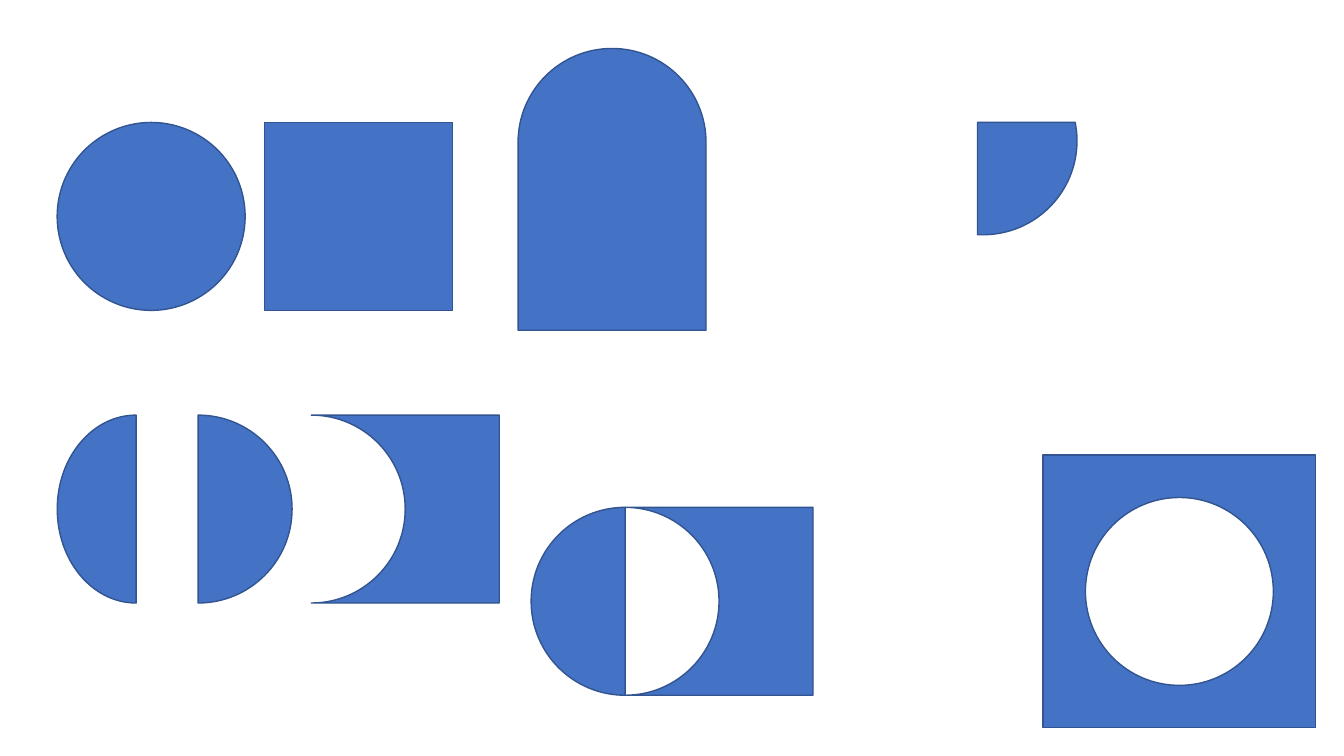
import math

from pptx import Presentation
from pptx import util as u
from pptx.dml.color import RGBColor
from pptx.enum import shapes
from pptx.oxml import ns, xmlchemy

COLORS = {"fill": "4472C4", "line": "325491"}
ROWS = 75  # square grid cells over the slide height
RADIUS = 9.32
SIDE = 2 * RADIUS


def arc(center, start, end, radius_x=RADIUS):
    """Start point, then one Bezier curve of three points for each quarter turn.

    Angles are in degrees, clockwise from the right; lengths are in grid cells.
    """
    def place(x, y):
        return center[0] + radius_x * x, center[1] + RADIUS * y

    count = math.ceil(abs(end - start) / 90)
    step = math.radians((end - start) / count)
    handle = 4 / 3 * math.tan(step / 4)
    angle = math.radians(start)
    steps = [[place(math.cos(angle), math.sin(angle))]]
    for _ in range(count):
        c, s = math.cos(angle), math.sin(angle)
        angle += step
        d, t = math.cos(angle), math.sin(angle)
        steps.append([place(c - handle * s, s + handle * c),
                      place(d + handle * t, t - handle * d), place(d, t)])
    return steps


def corners(*points):
    return [[point] for point in points]


def square(left, top, side):
    return corners((left, top), (left + side, top),
                   (left + side, top + side), (left, top + side))


def left_half(center, radius_x=RADIUS):
    return corners((center[0], center[1] - RADIUS)) + arc(center, 90, 270, radius_x)


def right_half(center):
    return arc(center, -90, 90) + corners((center[0], center[1] - RADIUS))


def bitten_square(center):
    """Square that starts at the center, with the right half of the circle cut out."""
    x, y = center
    return square(x, y - RADIUS, SIDE)[:3] + arc(center, 90, -90)


class ShapeSlide:
    def __init__(self, presentation):
        self.slide = presentation.slides.add_slide(presentation.slide_layouts[6])
        self.cell = presentation.slide_height / ROWS

    def length(self, cells):
        return u.Emu(round(cells * self.cell))

    def style(self, shape):
        shape.shadow.inherit = False
        shape.fill.solid()
        shape.fill.fore_color.rgb = RGBColor.from_string(COLORS["fill"])
        shape.line.color.rgb = RGBColor.from_string(COLORS["line"])
        shape.line.width = u.Pt(1)

    def preset(self, kind, left, top):
        box = [self.length(v) for v in (left, top, SIDE, SIDE)]
        self.style(self.slide.shapes.add_shape(kind, *box))

    def outline(self, *contours):
        """Draw one freeform made of closed contours; an inner contour is a hole."""
        builder = None
        for contour in contours:
            start, *others = [(self.length(x), self.length(y))
                              for step in contour for x, y in step]
            if builder is None:
                builder = self.slide.shapes.build_freeform(*start)
            else:
                builder.move_to(*start)
            builder.add_line_segments(others, close=True)
        shape = builder.convert_to_shape()
        self.bend(shape, [step for contour in contours for step in contour])
        self.style(shape)

    def bend(self, shape, steps):
        """Join the segments of each three-point step into one Bezier curve."""
        segments = iter(shape._element.xpath(".//a:moveTo | .//a:lnTo"))
        for step in steps:
            parts = [next(segments) for _ in step]
            if len(parts) == 3:
                curve = xmlchemy.OxmlElement("a:cubicBezTo")
                parts[0].addprevious(curve)
                for part in parts:
                    curve.append(part.find(ns.qn("a:pt")))
                    part.getparent().remove(part)


def main():
    presentation = Presentation()
    presentation.slide_width = u.Inches(13.33)
    presentation.slide_height = u.Inches(7.5)
    page = ShapeSlide(presentation)

    top, middle = 12.15, 50.5
    page.preset(shapes.MSO_SHAPE.OVAL, 5.67, top)
    page.preset(shapes.MSO_SHAPE.RECTANGLE, 26.25, top)

    arch = (60.7, 14.13)
    foot = arch[1] + SIDE
    feet = corners((arch[0] + RADIUS, foot), (arch[0] - RADIUS, foot))
    page.outline(arc(arch, 270, 360) + feet + arc(arch, 180, 270))

    joined = (62, 59.65)
    page.outline(left_half(joined), bitten_square(joined))

    page.outline(right_half((19.65, middle)))
    page.outline(bitten_square((30.87, middle)))
    page.outline(left_half((13.5, middle), radius_x=7.82))

    wedge, wedge_left = (97.5, 13.97), 96.95
    page.outline(corners((wedge_left, top), (106.65, top))
                 + arc(wedge, -6, 0) + arc(wedge, 0, 90)[1:]
                 + corners((wedge_left, wedge[1] + RADIUS)))

    frame_left, frame_top, frame_side = 103.45, 45.15, 27.05
    hole = (frame_left + frame_side / 2, frame_top + frame_side / 2)
    page.outline(arc(hole, 270, 630), square(frame_left, frame_top, frame_side))

    presentation.save("out.pptx")


if __name__ == "__main__":
    main()
